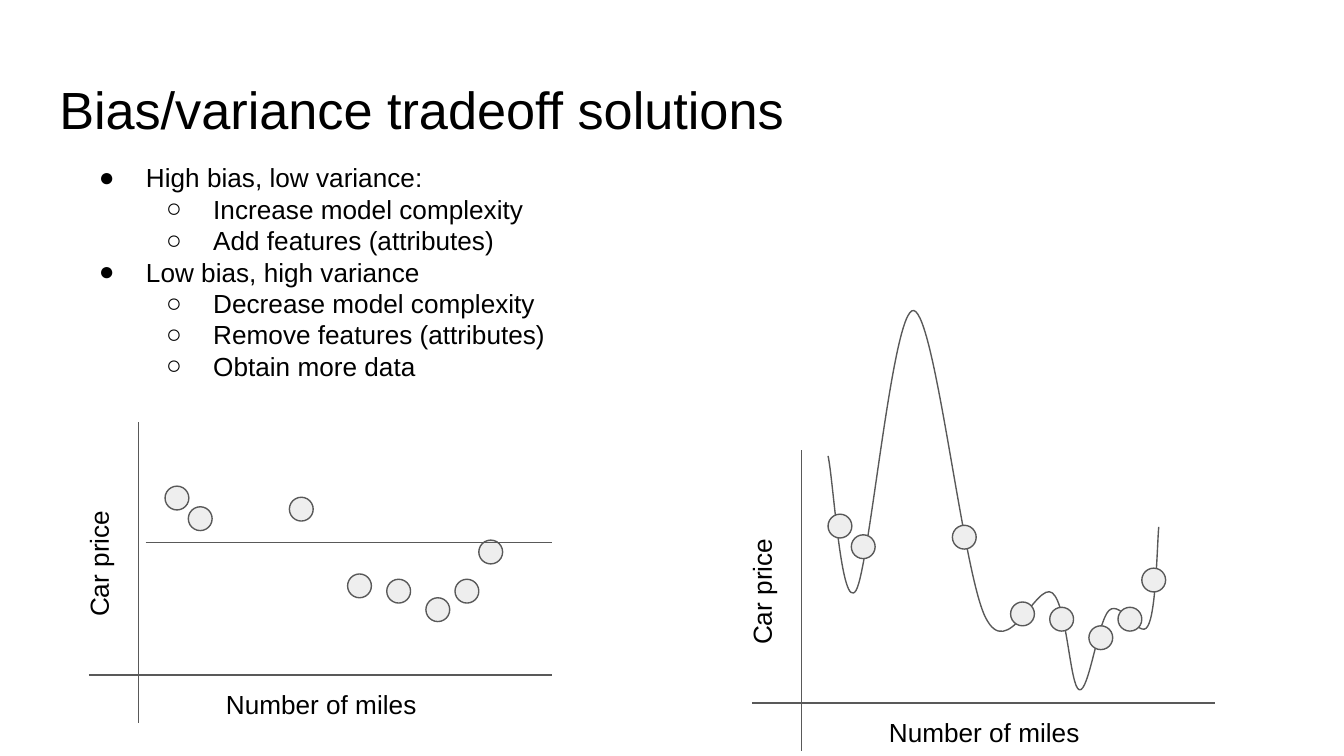
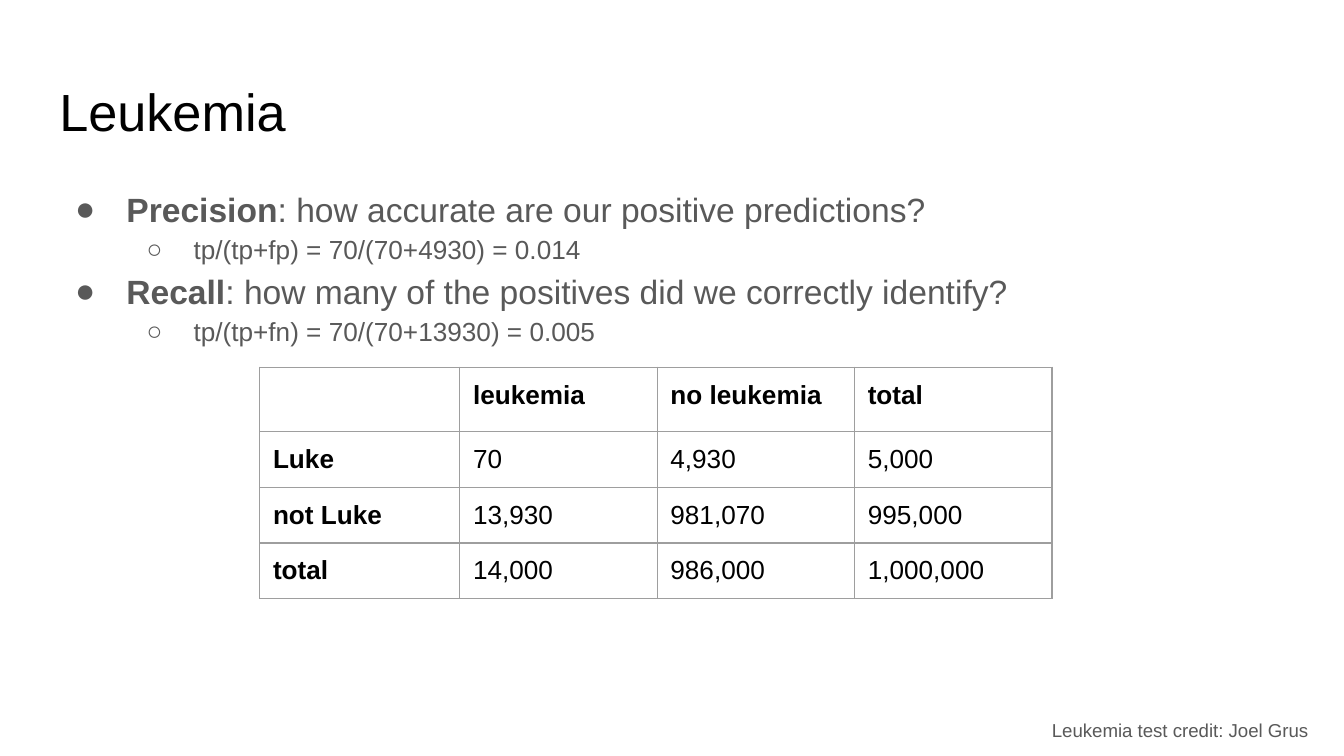
"""Build two slides on the bias/variance tradeoff and on precision and recall."""

import dataclasses
import itertools
import typing

import lxml.etree
import pptx
import pptx.dml.color
import pptx.dml.line
import pptx.enum.shapes
import pptx.enum.text
import pptx.oxml.ns
import pptx.shapes.base
import pptx.slide
import pptx.table
import pptx.text.text
import pptx.util

Cm = pptx.util.Cm
qn = pptx.oxml.ns.qn


@dataclasses.dataclass(frozen=True)
class Theme:
    font: str = "Arial"
    black: str = "000000"
    grey: str = "595959"
    dot: str = "EEEEEE"
    border: str = "9E9E9E"
    title: float = 28
    lead: float = 18
    text: float = 14
    credit: float = 10
    line: float = 0.75
    inset: float = 0.25


class Point(typing.NamedTuple):
    x: float
    y: float


class Frame(typing.NamedTuple):
    left: float
    top: float
    width: float
    height: float


class Bullet(typing.NamedTuple):
    text: str
    level: int = 0
    rest: str = ""


@dataclasses.dataclass(frozen=True)
class Plot:
    origin: Point
    miles_width: float
    price_width: float

    def at(self, point: Point) -> Point:
        return Point(self.origin.x + point.x, self.origin.y + point.y)


THEME = Theme()
LABEL_HEIGHT = 1.45
DOT_SIZE = 0.45
BULLET_MARKS = ("●", "○")

UNDERFIT = Plot(Point(2.62, 12.76), miles_width=4.75, price_width=2.9)
OVERFIT = Plot(Point(15.15, 13.29), miles_width=5.03, price_width=4.22)

AXES = (
    (Point(0, -4.78), Point(0, 0.9)),
    (Point(-0.94, 0), Point(7.81, 0)),
)
FLAT_MODEL = (Point(0.13, -2.51), Point(7.82, -2.51))
DOTS = (
    Point(5.98, -1.81), Point(4.69, -1.81), Point(0.5, -3.57), Point(5.43, -1.46),
    Point(3.95, -1.91), Point(6.43, -2.55), Point(2.85, -3.36), Point(0.94, -3.18),
)
CURVE = (
    Point(0.5, -4.67),
    Point(0.6, -4.24), Point(0.75, -1.68), Point(1.03, -2.13),
    Point(1.29, -2.59), Point(1.72, -7.49), Point(2.12, -7.42),
    Point(2.53, -7.32), Point(3.04, -2.51), Point(3.47, -1.63),
    Point(3.9, -0.74), Point(4.44, -2.31), Point(4.74, -2.08),
    Point(5.02, -1.85), Point(5.07, -0.3), Point(5.25, -0.25),
    Point(5.43, -0.2), Point(5.6, -1.55), Point(5.81, -1.75),
    Point(6.04, -1.96), Point(6.39, -1.19), Point(6.54, -1.45),
    Point(6.7, -1.7), Point(6.72, -3.0), Point(6.75, -3.33),
)
SOLUTIONS = (
    Bullet("High bias, low variance:"),
    Bullet("Increase model complexity", 1),
    Bullet("Add features (attributes)", 1),
    Bullet("Low bias, high variance"),
    Bullet("Decrease model complexity", 1),
    Bullet("Remove features (attributes)", 1),
    Bullet("Obtain more data", 1),
)
MEASURES = (
    Bullet("Precision", rest=": how accurate are our positive predictions?"),
    Bullet("tp/(tp+fp) = 70/(70+4930) = 0.014", 1),
    Bullet("Recall", rest=": how many of the positives did we correctly identify?"),
    Bullet("tp/(tp+fn) = 70/(70+13930) = 0.005", 1),
)
COUNTS = (
    ("", "leukemia", "no leukemia", "total"),
    ("Luke", "70", "4,930", "5,000"),
    ("not Luke", "13,930", "981,070", "995,000"),
    ("total", "14,000", "986,000", "1,000,000"),
)
COLUMN_WIDTHS = (3.78, 3.73, 3.73, 3.73)
ROW_HEIGHT = 1.02


def rgb(color: str) -> pptx.dml.color.RGBColor:
    return pptx.dml.color.RGBColor.from_string(color)


def place(shape: pptx.shapes.base.BaseShape, frame: Frame) -> None:
    shape.left, shape.top, shape.width, shape.height = map(Cm, frame)


def set_insets(holder: typing.Any) -> None:
    for side in ("left", "top", "right", "bottom"):
        setattr(holder, f"margin_{side}", Cm(THEME.inset))


def format_frame(frame: pptx.text.text.TextFrame) -> None:
    frame.word_wrap = True
    frame.auto_size = pptx.enum.text.MSO_AUTO_SIZE.NONE
    frame.vertical_anchor = pptx.enum.text.MSO_ANCHOR.TOP
    set_insets(frame)


def format_runs(para: pptx.text.text._Paragraph, size: float, color: str) -> None:
    para.alignment = pptx.enum.text.PP_ALIGN.LEFT
    for span in para.runs:
        span.font.name = THEME.font
        span.font.size = pptx.util.Pt(size)
        span.font.color.rgb = rgb(color)


def format_line(line: pptx.dml.line.LineFormat) -> None:
    line.color.rgb = rgb(THEME.grey)
    line.width = pptx.util.Pt(THEME.line)


def add_page(deck: typing.Any, title: str, top: float) -> pptx.slide.Slide:
    page = deck.slides.add_slide(deck.slide_layouts[5])
    box = page.shapes.title
    place(box, Frame(0.87, top, 23.67, 1.6))
    format_frame(box.text_frame)
    box.text_frame.text = title
    format_runs(box.text_frame.paragraphs[0], THEME.title, THEME.black)
    return page


def add_text(
    page: pptx.slide.Slide, frame: Frame, text: str, size: float, color: str
) -> pptx.shapes.base.BaseShape:
    box = page.shapes.add_textbox(*map(Cm, frame))
    format_frame(box.text_frame)
    box.text_frame.text = text
    for para in box.text_frame.paragraphs:
        format_runs(para, size, color)
    return box


def add_bullets(
    page: pptx.slide.Slide,
    frame: Frame,
    bullets: typing.Sequence[Bullet],
    lead_size: float,
    color: str,
    spacing: float,
) -> None:
    text = "\n".join(bullet.text for bullet in bullets)
    box = add_text(page, frame, text, THEME.text, color)
    for para, bullet in zip(box.text_frame.paragraphs, bullets):
        if bullet.rest:
            para.add_run().text = bullet.rest
            para.runs[0].font.bold = True
        size = THEME.text if bullet.level else lead_size
        format_runs(para, size, color)
        para.level = bullet.level
        para.line_spacing = spacing
        hang = 0.97 if size == THEME.lead else 0.89
        properties = para._p.get_or_add_pPr()
        properties.set("marL", str(Cm(1.27 * (bullet.level + 1))))
        properties.set("indent", str(-Cm(hang)))
        tint = lxml.etree.SubElement(properties, qn("a:buClr"))
        lxml.etree.SubElement(tint, qn("a:srgbClr"), val=color)
        lxml.etree.SubElement(properties, qn("a:buFont"), typeface=THEME.font)
        mark = BULLET_MARKS[bullet.level]
        lxml.etree.SubElement(properties, qn("a:buChar"), char=mark)


def add_line(page: pptx.slide.Slide, plot: Plot, start: Point, end: Point) -> None:
    ends = (*plot.at(start), *plot.at(end))
    line = page.shapes.add_connector(
        pptx.enum.shapes.MSO_CONNECTOR.STRAIGHT, *map(Cm, ends)
    )
    format_line(line.line)
    lxml.etree.SubElement(line._element.spPr, qn("a:effectLst"))


def add_plot(page: pptx.slide.Slide, plot: Plot) -> None:
    for start, end in AXES:
        add_line(page, plot, start, end)
    for corner in DOTS:
        dot = page.shapes.add_shape(
            pptx.enum.shapes.MSO_SHAPE.OVAL,
            *map(Cm, (*plot.at(corner), DOT_SIZE, DOT_SIZE)),
        )
        dot.shadow.inherit = False
        dot.fill.solid()
        dot.fill.fore_color.rgb = rgb(THEME.dot)
        format_line(dot.line)
    miles = Frame(*plot.at(Point(1.4, 0)), plot.miles_width, LABEL_HEIGHT)
    add_text(page, miles, "Number of miles", THEME.text, THEME.black)
    foot = plot.at(Point(-0.58, -0.85))
    price = Frame(
        foot.x - plot.price_width / 2,
        foot.y - (plot.price_width + LABEL_HEIGHT) / 2,
        plot.price_width,
        LABEL_HEIGHT,
    )
    add_text(page, price, "Car price", THEME.text, THEME.black).rotation = 270


def add_curve(page: pptx.slide.Slide, plot: Plot) -> None:
    points = [Point(*map(Cm, plot.at(point))) for point in CURVE]
    builder = page.shapes.build_freeform(*points[0])
    builder.add_line_segments(points[3::3], close=False)
    curve = builder.convert_to_shape()
    curve.shadow.inherit = False
    curve.fill.background()
    format_line(curve.line)
    segments = list(curve._element.iter(qn("a:lnTo")))
    for index, segment in enumerate(segments):
        bend = lxml.etree.Element(qn("a:cubicBezTo"))
        for x, y in points[3 * index + 1 : 3 * index + 4]:
            lxml.etree.SubElement(
                bend, qn("a:pt"), x=str(x - curve.left), y=str(y - curve.top)
            )
        segment.getparent().replace(segment, bend)


def add_borders(cell: pptx.table._Cell) -> None:
    properties = cell._tc.get_or_add_tcPr()
    for index, side in enumerate("LRTB"):
        edge = lxml.etree.Element(
            qn(f"a:ln{side}"), w=str(pptx.util.Pt(THEME.line))
        )
        fill = lxml.etree.SubElement(edge, qn("a:solidFill"))
        lxml.etree.SubElement(fill, qn("a:srgbClr"), val=THEME.border)
        properties.insert(index, edge)


def add_counts(page: pptx.slide.Slide) -> None:
    frame = Frame(4.91, 6.94, sum(COLUMN_WIDTHS), ROW_HEIGHT * len(COUNTS))
    table = page.shapes.add_table(
        len(COUNTS), len(COLUMN_WIDTHS), *map(Cm, frame)
    ).table
    table.first_row = table.horz_banding = False
    for column, width in zip(table.columns, COLUMN_WIDTHS):
        column.width = Cm(width)
    for (r, row), c in itertools.product(enumerate(COUNTS), range(len(COLUMN_WIDTHS))):
        cell = table.cell(r, c)
        cell.fill.background()
        add_borders(cell)
        set_insets(cell)
        cell.text_frame.text = row[c]
        para = cell.text_frame.paragraphs[0]
        format_runs(para, THEME.text, THEME.black)
        for span in para.runs:
            span.font.bold = r == 0 or c == 0
        if not row[c]:
            size = str(int(THEME.lead * 100))
            ending = lxml.etree.SubElement(para._p, qn("a:endParaRPr"), sz=size)
            lxml.etree.SubElement(ending, qn("a:latin"), typeface=THEME.font)


def main() -> None:
    deck = pptx.Presentation()
    deck.slide_width, deck.slide_height = Cm(25.4), Cm(14.29)

    page = add_page(deck, "Bias/variance tradeoff solutions", 1.21)
    add_plot(page, UNDERFIT)
    frame = Frame(1.24, 2.81, 20.32, 2.06)
    add_bullets(page, frame, SOLUTIONS, THEME.text, THEME.black, 1.0)
    add_line(page, UNDERFIT, *FLAT_MODEL)
    add_curve(page, OVERFIT)
    add_plot(page, OVERFIT)

    page = add_page(deck, "Leukemia", 1.25)
    frame = Frame(0.87, 3.2, 23.67, 3.73)
    add_bullets(page, frame, MEASURES, THEME.lead, THEME.grey, 1.15)
    frame = Frame(19.63, 13.28, 5.61, 0.86)
    credit = "Leukemia test credit: Joel Grus"
    box = add_text(page, frame, credit, THEME.credit, THEME.grey)
    box.text_frame.paragraphs[0].line_spacing = 1.15
    box.text_frame.paragraphs[0].space_after = pptx.util.Pt(16)
    add_counts(page)

    deck.save("out.pptx")


if __name__ == "__main__":
    main()
